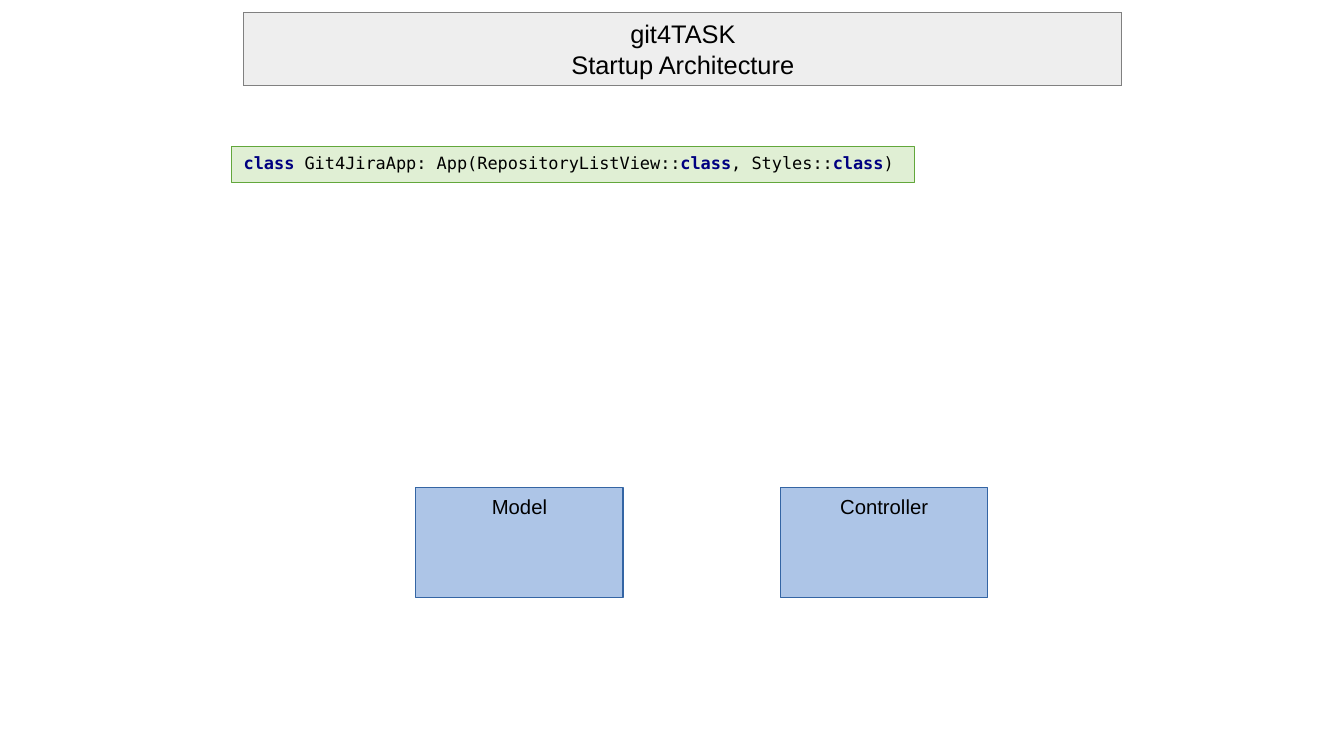
from pptx import Presentation
from pptx.dml.color import RGBColor
from pptx.enum.shapes import MSO_SHAPE
from pptx.enum.text import MSO_ANCHOR, MSO_AUTO_SIZE, PP_ALIGN
from pptx.util import Inches, Pt


def rgb(value):
    return RGBColor.from_string(value)


def add_text(p, text, font="Arial", size=12, color="000000", bold=False):
    r = p.add_run()
    r.text = text
    r.font.name = font
    r.font.size = Pt(size)
    r.font.bold = bold
    r.font.color.rgb = rgb(color)


class ArchitectureSlide:
    title_colors = "EEEEEE", "808080"
    code_colors = "E0EFD4", "62A73B"
    component_colors = "ADC5E7", "3465A4"
    code_font = "DejaVu Sans Mono"
    keyword_color = "000080"

    def __init__(self, prs):
        self.s = prs.slides.add_slide(prs.slide_layouts[5])

    def style(self, sp, colors, anchor=MSO_ANCHOR.TOP):
        fill, line = colors
        sp.fill.solid()
        sp.fill.fore_color.rgb = rgb(fill)
        sp.line.color.rgb = rgb(line)
        sp.line.width = Pt(0)
        tf = sp.text_frame
        tf.auto_size = MSO_AUTO_SIZE.NONE
        tf.word_wrap = True
        tf.vertical_anchor = anchor
        tf.margin_left = tf.margin_right = Inches(0.1)
        tf.margin_top = tf.margin_bottom = Inches(0.05)
        return tf

    def title(self, lines, x, y, w, h):
        sp = self.s.shapes.title
        sp.left, sp.top, sp.width, sp.height = map(Inches, (x, y, w, h))
        tf = self.style(sp, self.title_colors, MSO_ANCHOR.MIDDLE)
        for i, line in enumerate(lines):
            p = tf.add_paragraph() if i else tf.paragraphs[0]
            p.alignment = PP_ALIGN.CENTER
            add_text(p, line, size=15)

    def box(self, colors, align, x, y, w, h):
        sp = self.s.shapes.add_shape(MSO_SHAPE.RECTANGLE, *map(Inches, (x, y, w, h)))
        sp.shadow.inherit = False
        p = self.style(sp, colors).paragraphs[0]
        p.alignment = align
        return p

    def code(self, tokens, x, y, w, h):
        p = self.box(self.code_colors, PP_ALIGN.LEFT, x, y, w, h)
        for text in tokens:
            keyword = text.strip() == "class"
            add_text(p, text, font=self.code_font, size=10, bold=keyword,
                     color=self.keyword_color if keyword else "000000")

    def component(self, name, x, y, w=1.7, h=0.9):
        add_text(self.box(self.component_colors, PP_ALIGN.CENTER, x, y, w, h), name)


def main():
    prs = Presentation()
    prs.slide_width, prs.slide_height = Inches(11.02), Inches(6.2)
    slide = ArchitectureSlide(prs)
    slide.title(["git4TASK", "Startup Architecture"], 2, 0.1, 7.2, 0.6)
    slide.code(["class ", "Git4JiraApp: App(RepositoryListView::", "class",
                ", Styles::", "class", ")"], 1.9, 1.2, 5.6, 0.3)
    for name, x in (("Model", 3.41), ("Controller", 6.4)):
        slide.component(name, x, 4)
    prs.save("out.pptx")


if __name__ == "__main__":
    main()
